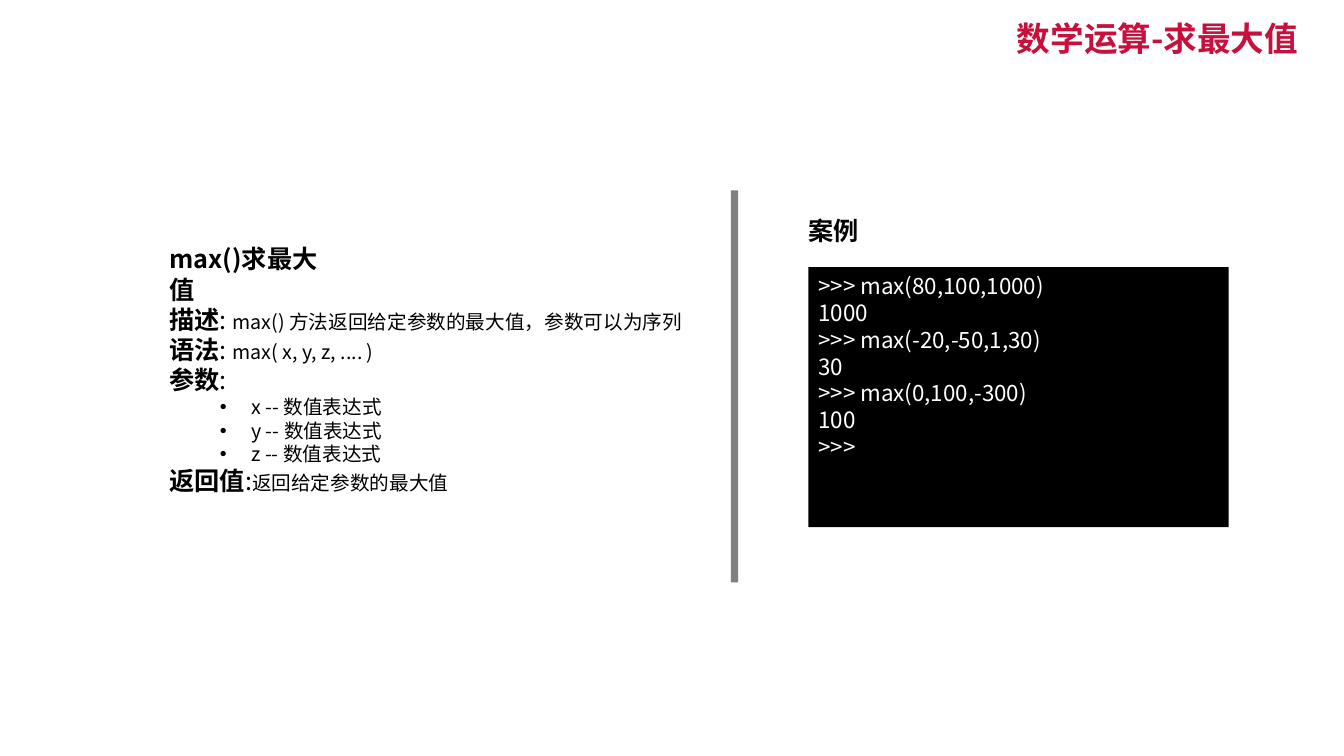
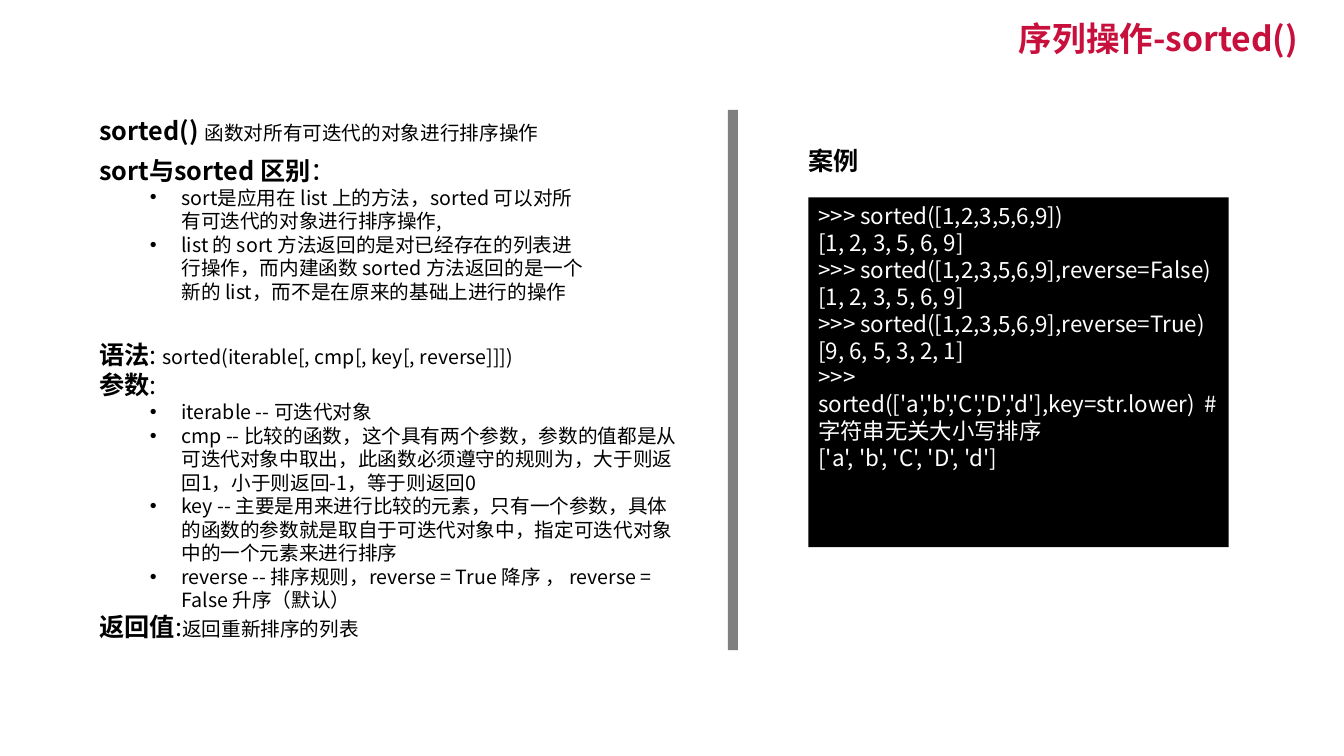
from dataclasses import dataclass

from lxml.etree import SubElement
from pptx import Presentation
from pptx.dml.color import RGBColor
from pptx.enum.shapes import MSO_SHAPE
from pptx.enum.text import MSO_ANCHOR, PP_ALIGN
from pptx.oxml.ns import qn
from pptx.util import Pt


@dataclass(frozen=True)
class Theme:
    font: str = "Noto Sans CJK SC"
    accent: RGBColor = RGBColor(0xC8, 0x10, 0x3D)
    ink: RGBColor = RGBColor(0, 0, 0)
    paper: RGBColor = RGBColor(0xFF, 0xFF, 0xFF)
    rule: RGBColor = RGBColor(0x80, 0x80, 0x80)
    title: int = 24
    label: int = 18
    code: int = 16
    detail: int = 14


@dataclass(frozen=True)
class Para:
    runs: tuple
    bullet: bool = False


THEME = Theme()
CODE_LEFT, CODE_WIDTH = 577.44, 300.24
CASE_OFFSET, CASE_GAP = 7.2, 40.6


def heading(text, tail="", size=THEME.label):
    runs = ((text, THEME.label, True), (tail, size, False))
    return Para(tuple(run for run in runs if run[0]))


def entry(label, colon=":", detail=""):
    runs = heading(label, colon).runs
    return Para(runs + ((detail, THEME.detail, False),) if detail else runs)


def bullets(*lines):
    return [Para(((line, THEME.detail, False),), True) for line in lines]


def style_run(r, size, color, bold=False):
    r.font.size = Pt(size)
    r.font.bold = bold
    r.font.name = THEME.font
    r.font.color.rgb = color
    SubElement(r.font._element, qn("a:ea"), typeface=THEME.font)


def add_bullet(p):
    p.level = 1
    pPr = p._p.get_or_add_pPr()
    pPr.set("marL", str(Pt(58.5)))
    pPr.set("indent", str(Pt(-22.5)))
    SubElement(pPr, qn("a:buFont"), typeface="Arial")
    SubElement(pPr, qn("a:buChar"), char="•")


def add_text(s, box, paras, color=THEME.ink):
    tf = s.shapes.add_textbox(*map(Pt, box)).text_frame
    tf.word_wrap = True
    for i, para in enumerate(paras):
        p = tf.paragraphs[0] if i == 0 else tf.add_paragraph()
        if para.bullet:
            add_bullet(p)
        for text, size, bold in para.runs:
            r = p.add_run()
            r.text = text
            style_run(r, size, color, bold)
    return tf


def add_title(s, text):
    title = Para(((text, THEME.title, True),))
    tf = add_text(s, (480, 14.4, 454.4, 29.6), [title], THEME.accent)
    tf.vertical_anchor = MSO_ANCHOR.MIDDLE
    p = tf.paragraphs[0]
    p.alignment = PP_ALIGN.RIGHT
    p.line_spacing = 0.9


def add_block(s, box, fill):
    sp = s.shapes.add_shape(MSO_SHAPE.RECTANGLE, *map(Pt, box))
    sp.shadow.inherit = False
    sp.fill.solid()
    sp.fill.fore_color.rgb = fill
    sp.line.fill.background()
    return sp


def add_case(s, top, height, code):
    add_text(s, (CODE_LEFT - CASE_OFFSET, top - CASE_GAP, 52, 29), [heading("案例")])
    tf = add_block(s, (CODE_LEFT, top, CODE_WIDTH, height), THEME.ink).text_frame
    tf.word_wrap = True
    tf.vertical_anchor = MSO_ANCHOR.TOP
    tf.text = code
    for p in tf.paragraphs:
        p.alignment = PP_ALIGN.LEFT
        for r in p.runs:
            style_run(r, THEME.code, THEME.paper)


def add_slide(prs, title, texts, divider, case):
    s = prs.slides.add_slide(prs.slide_layouts[6])
    add_title(s, title)
    for box, paras in texts:
        add_text(s, box, paras)
    add_block(s, divider, THEME.rule)
    add_case(s, *case)


MAX_TEXTS = [
    ((114, 170.6, 134, 29), [heading("max()求最大值")]),
    ((114, 213.8, 386.6, 162.7), [
        entry("描述", ": ", "max() 方法返回给定参数的最大值，参数可以为序列"),
        entry("语法", ": ", "max( x, y, z, .... )"),
        entry("参数"),
        *bullets("x -- 数值表达式", "y -- 数值表达式", "z -- 数值表达式"),
        entry("返回值", detail="返回给定参数的最大值"),
    ]),
]

MAX_CODE = """>>> max(80,100,1000)
1000
>>> max(-20,-50,1,30)
30
>>> max(0,100,-300)
100
>>>"""

SORTED_TEXTS = [
    ((64, 78.5, 337.7, 29),
     [heading("sorted() ", "函数对所有可迭代的对象进行排序操作", THEME.detail)]),
    ((64, 107.3, 362.9, 131), [
        heading("sort与sorted 区别", "："),
        *bullets(
            "sort是应用在 list 上的方法，sorted 可以对所有可迭代的对象进行排序操作,",
            "list 的 sort 方法返回的是对已经存在的列表进行操作，而内建函数 sorted "
            "方法返回的是一个新的 list，而不是在原来的基础上进行的操作",
        ),
    ]),
    ((64, 239, 433.4, 225.4), [
        entry("语法", ": ", "sorted(iterable[, cmp[, key[, reverse]]])"),
        entry("参数"),
        *bullets(
            "iterable -- 可迭代对象",
            "cmp -- 比较的函数，这个具有两个参数，参数的值都是从可迭代对象中取出，"
            "此函数必须遵守的规则为，大于则返回1，小于则返回-1，等于则返回0",
            "key -- 主要是用来进行比较的元素，只有一个参数，具体的函数的参数就是"
            "取自于可迭代对象中，指定可迭代对象中的一个元素来进行排序",
            "reverse -- 排序规则，reverse = True 降序 ， reverse = False 升序（默认）",
        ),
        entry("返回值", detail="返回重新排序的列表"),
    ]),
]

SORTED_CODE = """>>> sorted([1,2,3,5,6,9])
[1, 2, 3, 5, 6, 9]
>>> sorted([1,2,3,5,6,9],reverse=False)
[1, 2, 3, 5, 6, 9]
>>> sorted([1,2,3,5,6,9],reverse=True)
[9, 6, 5, 3, 2, 1]
>>> sorted(['a','b','C','D','d'],key=str.lower)  # 字符串无关大小写排序
['a', 'b', 'C', 'D', 'd']"""


def main():
    prs = Presentation()
    prs.slide_width, prs.slide_height = Pt(960), Pt(540)
    add_slide(prs, "数学运算-求最大值", MAX_TEXTS,
              (522, 136, 5.3, 280), (190.8, 185.8, MAX_CODE))
    add_slide(prs, "序列操作-sorted()", SORTED_TEXTS,
              (520, 78.5, 7.2, 386), (141, 249.8, SORTED_CODE))
    prs.save("out.pptx")


if __name__ == "__main__":
    main()
